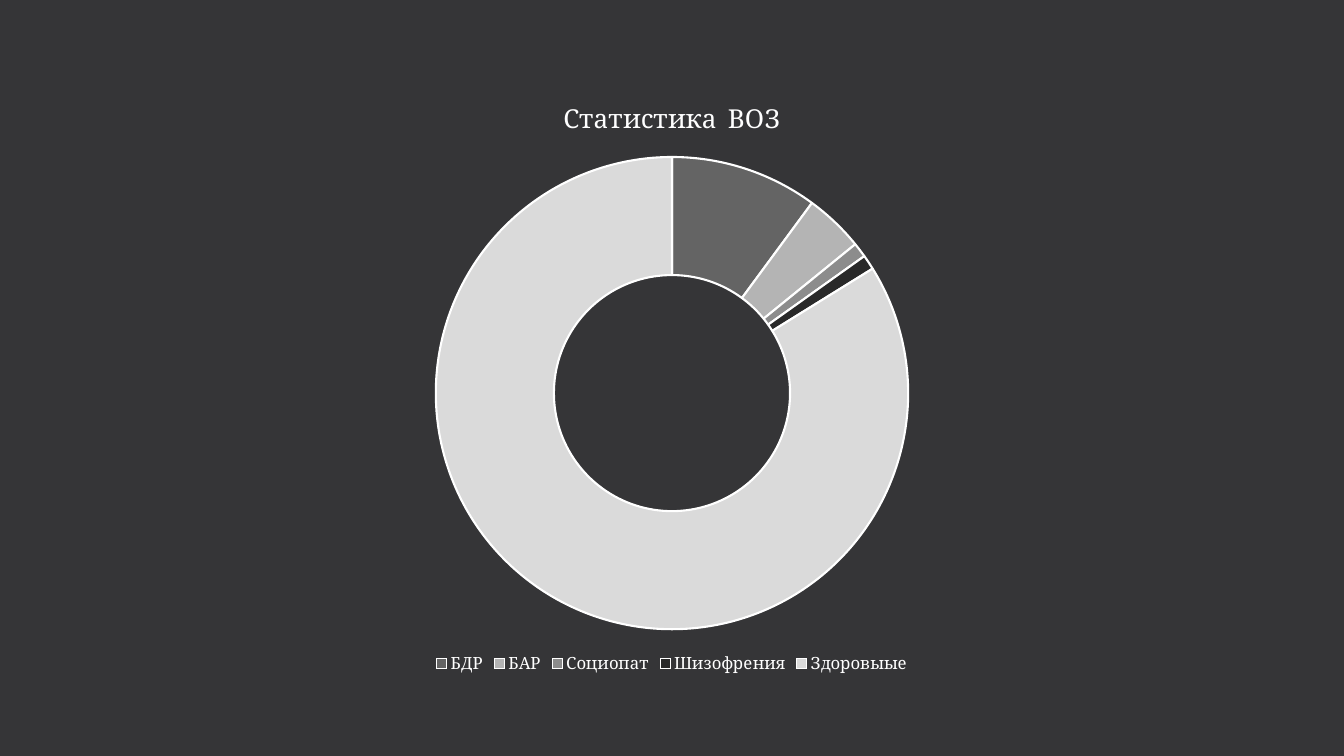
import pptx
import pptx.chart.data
import pptx.dml.color
import pptx.enum.chart
import pptx.util

PX = 9144  # EMU in one px, 100 px to the inch
FONT = "Cambria"
HOLE_PERCENT = 75
COLORS = {
    "background": "353537",
    "text": "FFFFFF",
    "border": "FFFFFF",
    "БДР": "646464",
    "БАР": "B4B4B4",
    "Социопат": "8C8C8C",
    "Шизофрения": "292929",
    "Здоровыые": "DADADA",
}
SHARES = {"БДР": 10, "БАР": 4, "Социопат": 1, "Шизофрения": 1, "Здоровыые": 83}


def px(length):
    return pptx.util.Emu(length * PX)


def color(name):
    return pptx.dml.color.RGBColor.from_string(COLORS[name])


def paint(fill, name):
    fill.solid()
    fill.fore_color.rgb = color(name)


def style_font(font, size):
    font.name = FONT
    font.size = pptx.util.Pt(size)
    font.bold = False
    font.color.rgb = color("text")


def add_doughnut(slide, left, top, width, height):
    shares = pptx.chart.data.CategoryChartData()
    shares.categories = list(SHARES)
    shares.add_series("Series 1", list(SHARES.values()))
    chart = slide.shapes.add_chart(
        pptx.enum.chart.XL_CHART_TYPE.DOUGHNUT,
        px(left), px(top), px(width), px(height), shares,
    ).chart
    style_font(chart.font, 10)
    return chart


def color_slices(chart):
    plot = chart.plots[0]
    plot.vary_by_categories = True
    plot._element.find(pptx.oxml.ns.qn("c:holeSize")).set("val", str(HOLE_PERCENT))
    for index, diagnosis in enumerate(SHARES):
        slice_format = plot.series[0].points[index].format
        paint(slice_format.fill, diagnosis)
        slice_format.line.color.rgb = color("border")
        slice_format.line.width = pptx.util.Pt(1.5)


def add_chart_title(chart, text):
    chart.has_title = True
    title = chart.chart_title
    title.include_in_layout = False
    heading = title.text_frame.paragraphs[0]
    heading.text = text
    style_font(heading.runs[0].font, 18.6)


def add_legend(chart):
    chart.has_legend = True
    chart.legend.position = pptx.enum.chart.XL_LEGEND_POSITION.BOTTOM
    chart.legend.include_in_layout = False
    style_font(chart.legend.font, 12)


def main():
    deck = pptx.Presentation()
    deck.slide_width, deck.slide_height = px(1333), px(750)
    slide = deck.slides.add_slide(deck.slide_layouts[6])
    paint(slide.background.fill, "background")

    statistics = add_doughnut(slide, 222, 79, 889, 593)
    color_slices(statistics)
    add_chart_title(statistics, "Статистика  ВОЗ")
    add_legend(statistics)

    deck.save("out.pptx")


if __name__ == "__main__":
    main()
